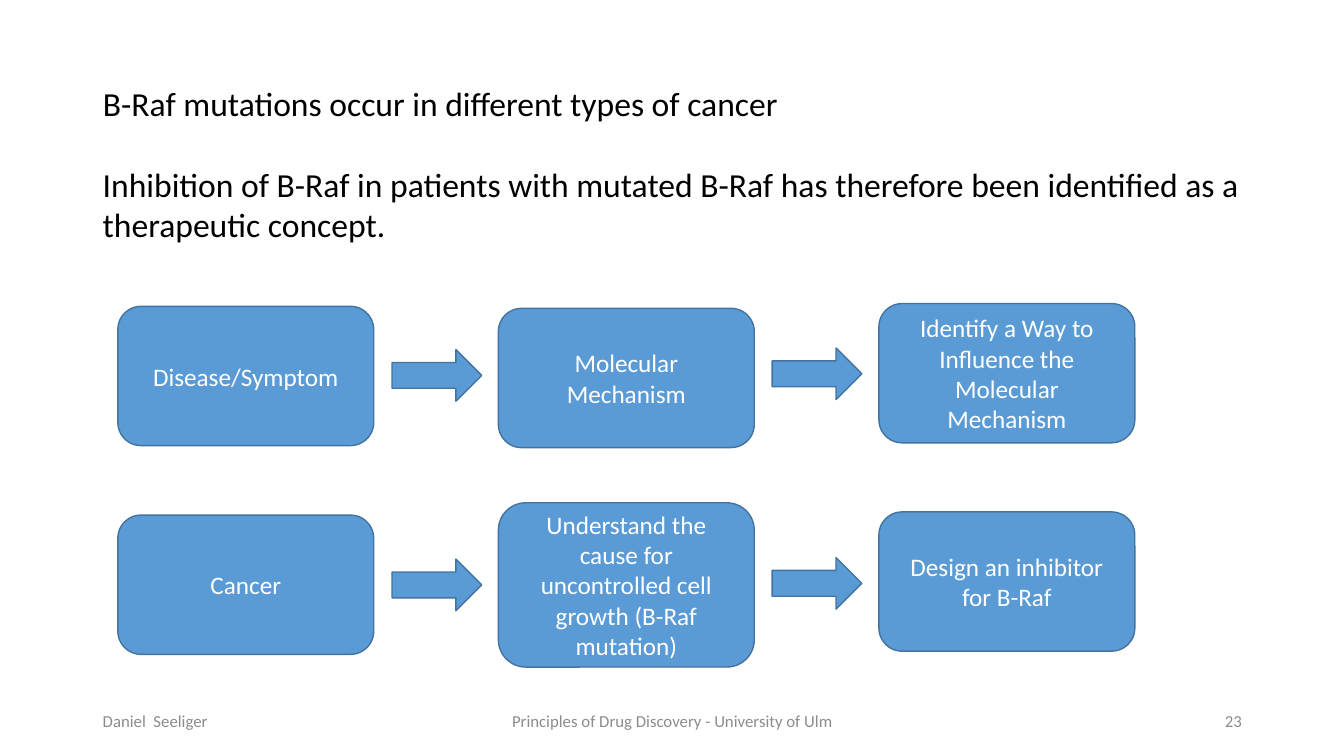
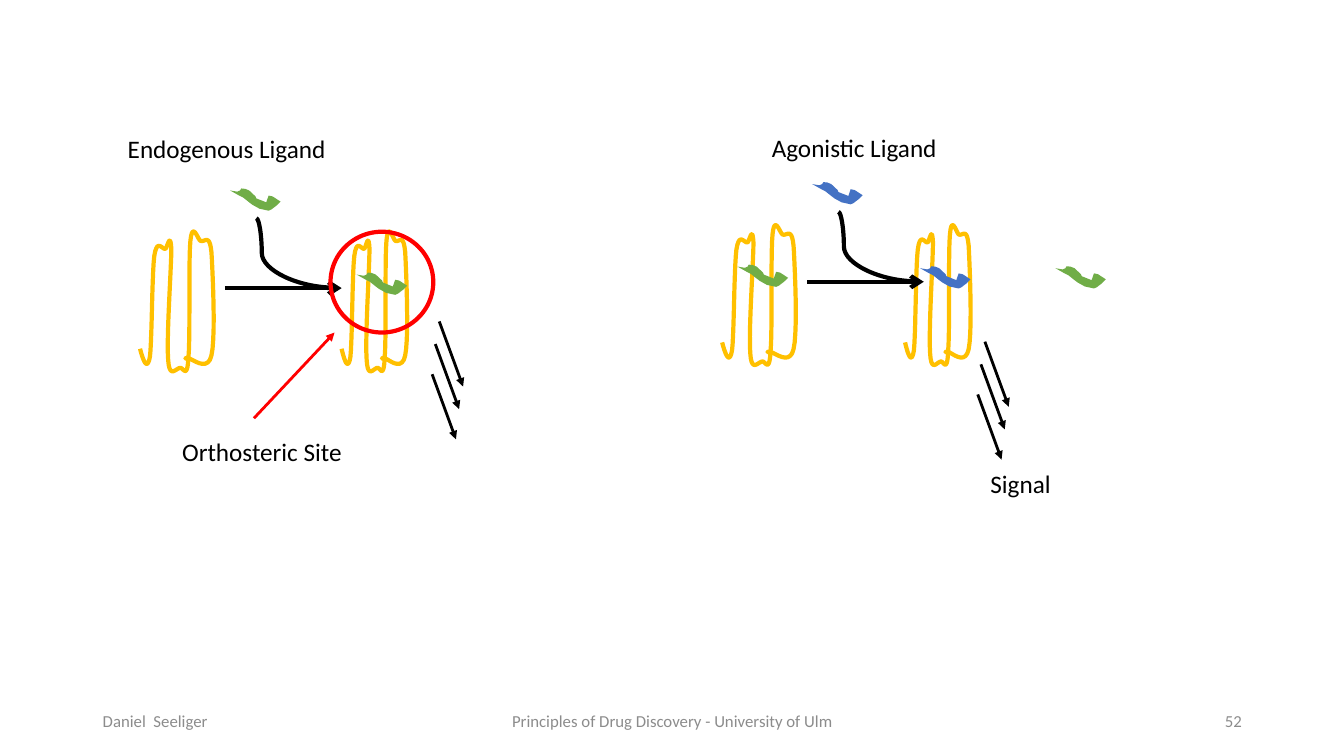
from dataclasses import dataclass

from lxml import etree
from pptx import Presentation
from pptx.dml.color import RGBColor
from pptx.enum import shapes, text
from pptx.oxml import ns
from pptx.util import Cm, Pt

BLACK = RGBColor(0x00, 0x00, 0x00)
WHITE = RGBColor(0xFF, 0xFF, 0xFF)
GREY = RGBColor(0x8C, 0x8C, 0x8C)
SKY = RGBColor(0x5B, 0x9B, 0xD5)
EDGE = RGBColor(0x43, 0x73, 0x9E)
GOLD = RGBColor(0xFF, 0xC0, 0x00)
GREEN = RGBColor(0x70, 0xAD, 0x47)
BLUE = RGBColor(0x44, 0x72, 0xC4)
RED = RGBColor(0xFF, 0x00, 0x00)
FONT = "Calibri"
LEFT, MID, RIGHT = text.PP_ALIGN.LEFT, text.PP_ALIGN.CENTER, text.PP_ALIGN.RIGHT
TOP, CORE = text.MSO_ANCHOR.TOP, text.MSO_ANCHOR.MIDDLE
Point = tuple[float, float]


@dataclass(frozen=True)
class Area:
    x: float
    y: float
    w: float
    h: float

    def size(self) -> tuple[int, ...]:
        return tuple(Cm(n) for n in (self.x, self.y, self.w, self.h))


@dataclass(frozen=True)
class Style:
    size: int
    hue: RGBColor
    align: text.PP_ALIGN = LEFT
    anchor: text.MSO_ANCHOR = TOP
    wrap: bool = True


@dataclass(frozen=True)
class Step:
    col: int
    y: float
    words: str
    h: float = 3.51


@dataclass(frozen=True)
class Label:
    words: str
    area: Area


HEAD = Style(24, BLACK)
NOTE = Style(18, BLACK, wrap=False)
STEP = Style(18, WHITE, MID, CORE)

STEPS = (
    Step(0, 7.72, "Disease/Symptom"),
    Step(1, 7.77, "Molecular Mechanism"),
    Step(2, 7.65, "Identify a Way to Influence the Molecular Mechanism"),
    Step(0, 12.98, "Cancer"),
    Step(1, 12.67, "Understand the cause for uncontrolled cell growth (B-Raf mutation)", 4.14),
    Step(2, 12.9, "Design an inhibitor for B-Raf"),
)
LABELS = (
    Label("Endogenous Ligand", Area(2.97, 3.23, 5.61, 1.02)),
    Label("Agonistic Ligand", Area(19.2, 3.2, 4.72, 1.02)),
    Label("Orthosteric Site", Area(4.34, 10.87, 4.57, 1.02)),
    Label("Signal", Area(24.71, 11.68, 2.06, 1.02)),
)
START = (0, 2.95)
CURVES = (
    ((0.08, 3.25), (0.18, 3.53), (0.25, 3.15)),
    ((0.3, 2.77), (0.3, 1.07), (0.36, 0.61)),
    ((0.43, 0.15), (0.56, 0.46), (0.64, 0.43)),
    ((0.69, 0.41), (0.76, -0.03), (0.79, 0.43)),
    ((0.79, 0.89), (0.66, 2.72), (0.71, 3.23)),
    ((0.74, 3.73), (0.91, 3.43), (1.02, 3.43)),
    ((1.09, 3.43), (1.19, 3.73), (1.22, 3.18)),
    ((1.27, 2.64), (1.22, 0.71), (1.27, 0.23)),
    ((1.32, -0.28), (1.45, 0.18), (1.52, 0.23)),
    ((1.63, 0.28), (1.75, 0.03), (1.8, 0.51)),
    ((1.83, 0.99), (1.91, 2.67), (1.8, 3.12)),
    ((1.7, 3.56), (1.3, 3.18), (1.19, 3.18)),
    ((1.09, 3.2), (1.17, 3.2), (1.22, 3.18)),
)
LEAF = (
    (0, 0), (0.23, 0.13), (0.33, 0.18), (0.48, 0.3), (0.56, 0.36),
    (0.74, 0.46), (0.97, 0.51), (1.04, 0.48), (1.17, 0.38), (1.22, 0.33),
    (1.27, 0.28), (1.07, 0.15), (0.97, 0.13), (0.91, 0.3), (0.66, 0.2),
    (0.64, 0.15), (0.48, 0), (0.38, -0.04), (0.28, -0.05), (0.25, 0),
    (0.18, 0.03),
)


def write(shape, words: str, style: Style) -> None:
    frame = shape.text_frame
    frame.word_wrap = style.wrap
    frame.vertical_anchor = style.anchor
    line = frame.paragraphs[0]
    line.alignment = style.align
    run = line.add_run()
    run.text = words
    run.font.name = FONT
    run.font.size = Pt(style.size)
    run.font.color.rgb = style.hue


def add_text(slide, words: str, area: Area, style: Style) -> None:
    write(slide.shapes.add_textbox(*area.size()), words, style)


def paint(shape, fill: RGBColor | None, edge: RGBColor | None, width: float = 1) -> None:
    shape.shadow.inherit = False
    if fill is None:
        shape.fill.background()
    else:
        shape.fill.solid()
        shape.fill.fore_color.rgb = fill
    if edge is None:
        shape.line.fill.background()
    else:
        shape.line.color.rgb = edge
        shape.line.width = Pt(width)


def add_block(slide, kind: shapes.MSO_SHAPE, area: Area):
    block = slide.shapes.add_shape(kind, *area.size())
    paint(block, SKY, EDGE)
    return block


def add_link(slide, start: Point, end: Point, hue: RGBColor, width: float,
             tip: str = "", bend: int = 0) -> None:
    kind = shapes.MSO_CONNECTOR.CURVE if bend else shapes.MSO_CONNECTOR.STRAIGHT
    link = slide.shapes.add_connector(kind, *(Cm(n) for n in start + end))
    link.line.color.rgb = hue
    link.line.width = Pt(width)
    props = link.element.spPr
    if tip:
        etree.SubElement(props.find(ns.qn("a:ln")), ns.qn("a:tailEnd"), type=tip)
    if bend:
        guides = props.find(ns.qn("a:prstGeom")).find(ns.qn("a:avLst"))
        etree.SubElement(guides, ns.qn("a:gd"), name="adj1", fmla=f"val {bend}")
    etree.SubElement(props, ns.qn("a:effectLst"))


def add_path(slide, points: list[Point], close: bool):
    spots = [(Cm(x), Cm(y)) for x, y in points]
    pen = slide.shapes.build_freeform(*spots[0])
    pen.add_line_segments(spots[1:], close=close)
    return pen.convert_to_shape()


def trace(start: Point, curves: tuple, parts: int = 10) -> list[Point]:
    points = [start]
    for one, two, end in curves:
        first = points[-1]
        for i in range(1, parts + 1):
            t = i / parts
            s = 1 - t
            points.append(tuple(
                s**3 * a + 3 * s * s * t * b + 3 * s * t * t * c + t**3 * d
                for a, b, c, d in zip(first, one, two, end)))
    return points


def add_coil(slide, x: float, y: float, scale: float = 1) -> None:
    points = [(x + a * scale, y + b) for a, b in trace(START, CURVES)]
    paint(add_path(slide, points, False), None, GOLD, 3)


def add_leaf(slide, x: float, y: float, hue: RGBColor) -> None:
    paint(add_path(slide, [(x + a, y + b) for a, b in LEAF], True), hue, None)


def add_bind(slide, x: float, y: float, gap: float, hue: RGBColor) -> None:
    add_coil(slide, x, y)
    add_coil(slide, x + gap, y, 0.89)
    add_link(slide, (x + 2.14, y + 1.42), (x + 5.08, y + 1.42), BLACK, 3, "arrow")
    add_link(slide, (x + 2.93, y - 0.34), (x + 4.91, y + 1.41), BLACK, 3, bend=7000)
    add_leaf(slide, x + 2.27, y - 1.04, hue)
    add_leaf(slide, x + gap + 0.38, y + 1.08, hue)


def add_signal(slide, x: float, y: float) -> None:
    for a, b in ((0, 0), (-0.1, 0.57), (-0.18, 1.33)):
        add_link(slide, (x + a, y + b), (x + a + 0.6, y + b + 1.64),
                 BLACK, 2, "triangle")


def add_foot(slide, page: str) -> None:
    for words, x, w, align in (
        ("Daniel  Seeliger", 2.34, 7.62, LEFT),
        ("Principles of Drug Discovery - University of Ulm", 11.23, 11.43, MID),
        (page, 23.93, 7.62, RIGHT),
    ):
        add_text(slide, words, Area(x, 17.65, w, 1.02), Style(12, GREY, align, CORE))


def draw_concept(deck) -> None:
    slide = deck.slides.add_slide(deck.slide_layouts[5])
    add_foot(slide, "23")
    title = slide.shapes.title
    title.left, title.top, title.width, title.height = Area(2.34, 1.96, 17.7, 1.27).size()
    title.text_frame.auto_size = text.MSO_AUTO_SIZE.NONE
    write(title, "B-Raf mutations occur in different types of cancer", HEAD)
    add_text(slide, "Inhibition of B-Raf in patients with mutated B-Raf has therefore "
             "been identified as a therapeutic concept.",
             Area(2.34, 4.01, 30.43, 2.31), HEAD)
    for step in STEPS:
        area = Area(2.97 + 9.59 * step.col, step.y, 6.45, step.h)
        box = add_block(slide, shapes.MSO_SHAPE.ROUNDED_RECTANGLE, area)
        write(box, step.words, STEP)
    for y in (8.81, 14.09):
        for col in range(2):
            area = Area(9.88 + 9.58 * col, y - 0.04 * col, 2.26, 1.3)
            add_block(slide, shapes.MSO_SHAPE.RIGHT_ARROW, area)


def draw_ligands(deck) -> None:
    slide = deck.slides.add_slide(deck.slide_layouts[6])
    add_foot(slide, "52")
    add_bind(slide, 3.53, 5.84, 5.08, GREEN)
    add_bind(slide, 18.2, 5.68, 4.61, BLUE)
    add_leaf(slide, 18.59, 6.72, GREEN)
    add_leaf(slide, 26.6, 6.76, GREEN)
    site = slide.shapes.add_shape(shapes.MSO_SHAPE.OVAL, *Area(8.33, 5.84, 2.59, 2.54).size())
    paint(site, None, RED, 3)
    add_link(slide, (6.4, 10.54), (8.43, 8.38), RED, 2, "triangle")
    add_signal(slide, 11.07, 8.1)
    add_signal(slide, 24.82, 8.61)
    for label in LABELS:
        add_text(slide, label.words, label.area, NOTE)


def main() -> None:
    deck = Presentation()
    deck.slide_width, deck.slide_height = Cm(33.87), Cm(19.05)
    draw_concept(deck)
    draw_ligands(deck)
    deck.save("out.pptx")


if __name__ == "__main__":
    main()
